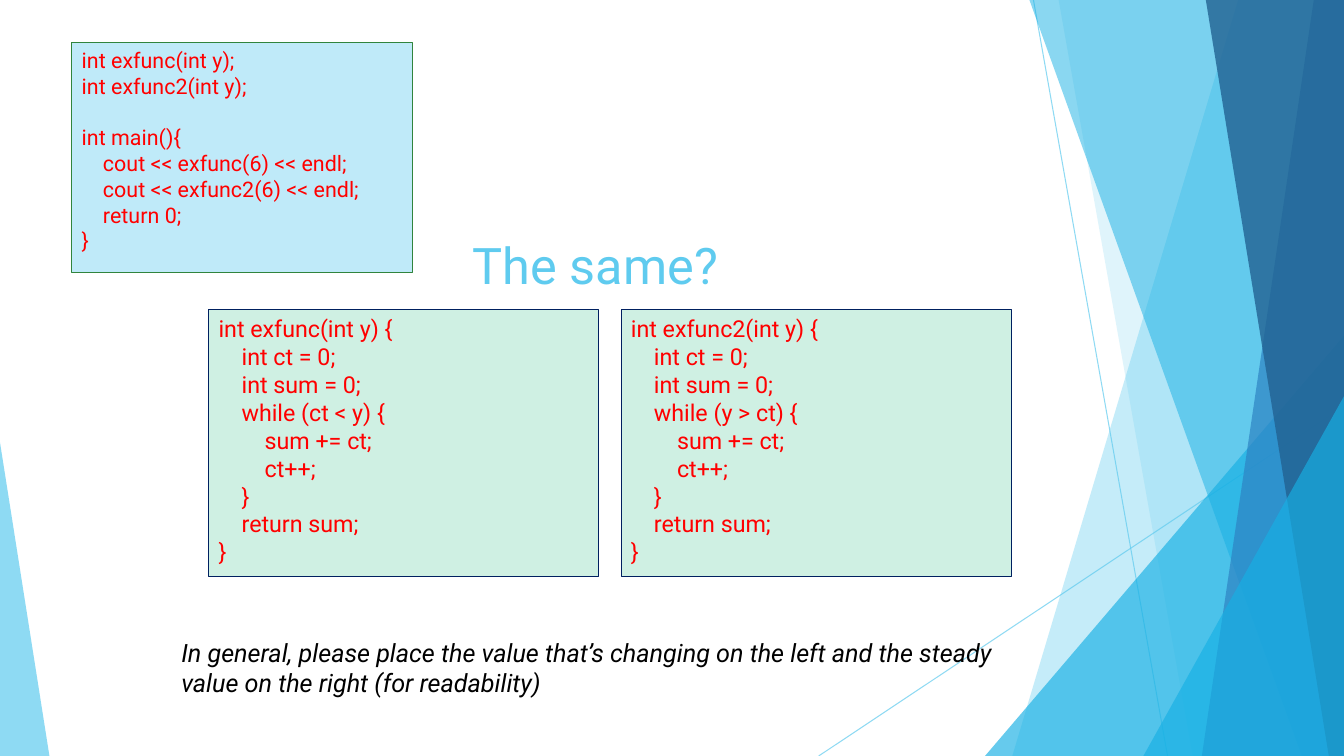
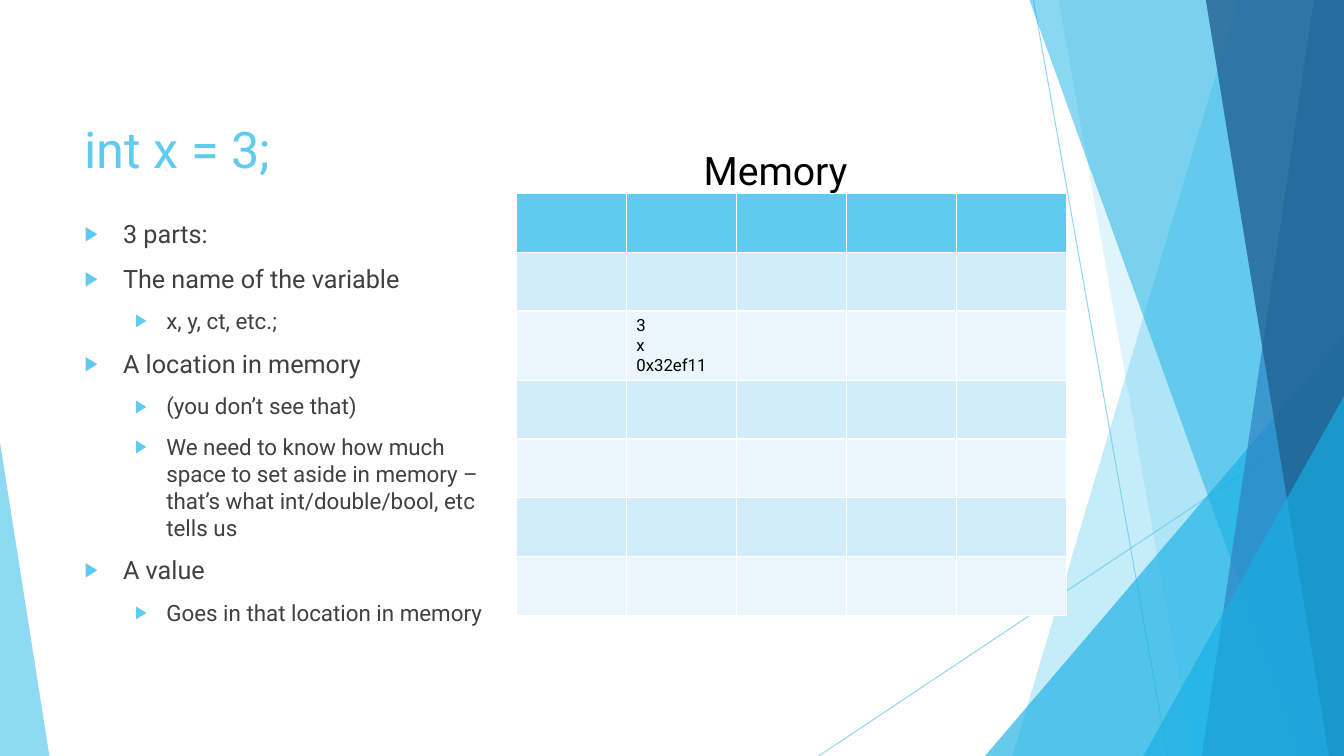
from lxml import etree
from pptx import Presentation
from pptx.dml.color import RGBColor
from pptx.enum.shapes import MSO_CONNECTOR, MSO_SHAPE
from pptx.enum.text import MSO_ANCHOR, MSO_AUTO_SIZE, PP_ALIGN
from pptx.oxml.ns import qn
from pptx.util import Inches, Pt

TRIANGLE, RECT = MSO_SHAPE.ISOSCELES_TRIANGLE, MSO_SHAPE.RECTANGLE
STRAIGHT = MSO_CONNECTOR.STRAIGHT
TOP, LEFT, NO_FIT = MSO_ANCHOR.TOP, PP_ALIGN.LEFT, MSO_AUTO_SIZE.NONE

FONT = "Roboto"
W, H = 13.33, 7.5
COLORS = {
    "sky": "5FCBEF", "cyan": "17B0E4", "blue": "2E83C3", "deep": "226292",
    "code": "FF0000", "ink": "000000", "body": "404040",
    "pale_blue": "BFEAF9", "green": "31843D", "mint": "CFF0E3", "navy": "002060",
    "band_dark": "D2ECF9", "band_light": "EAF6FC",
}
INDENTS = [(0.38, -0.38), (0.81, -0.31)]

RAYS = [(10.25, 0, 11.58, H), (W, 4.03, 8.12, H)]
FACETS = [
    ("wedge", (12.28, 10.04), "sky", 36),
    ("wedge", (10.5, 11.83), "sky", 20),
    ("triangle", (9.77, 3.33, 3.56, 1), "cyan", 66),
    ("wedge", (10.21, 12.91), "cyan", 50),
    ("wedge", (13.03, 11.92), "blue", 70),
    ("wedge", (11.96, 13.18), "deep", 80),
    ("triangle", (11.34, 3.93, 1.99, 1), "cyan", 66),
    ("triangle", (0, 4.39, 0.49, 0), "sky", 70),
]

PROTOTYPES = """int exfunc(int y);
int exfunc2(int y);

int main(){
    cout << exfunc(6) << endl;
    cout << exfunc2(6) << endl;
    return 0;
}"""
LOOP = """int %s(int y) {
    int ct = 0;
    int sum = 0;
    while (%s) {
        sum += ct;
        ct++;
    }
    return sum;
}"""
ADVICE = [
    "In general, please place the value that’s changing on the left and the steady",
    "value on the right (for readability)",
]
PARTS = [
    (0, "3 parts:"),
    (0, "The name of the variable"),
    (1, "x, y, ct, etc.;"),
    (0, "A location in memory"),
    (1, "(you don’t see that)"),
    (1, "We need to know how much space to set aside in memory – "
        "that’s what int/double/bool, etc tells us"),
    (0, "A value"),
    (1, "Goes in that location in memory"),
]


def rgb(name):
    return RGBColor.from_string(COLORS[name])


def place(sp, box):
    sp.left, sp.top, sp.width, sp.height = [Inches(v) for v in box]


def paint(sp, fill, line=None):
    sp.fill.solid()
    sp.fill.fore_color.rgb = rgb(fill)
    if line:
        sp.line.color.rgb = rgb(line)
        sp.line.width = Pt(0.75)
    else:
        sp.line.fill.background()


def fade(sp, percent):
    for clr in sp.element.spPr.iter(qn("a:srgbClr")):
        etree.SubElement(clr, qn("a:alpha")).set("val", str(percent * 1000))


def set_bullet(p, level):
    pPr = p._p.get_or_add_pPr()
    margin, hang = INDENTS[level]
    pPr.set("marL", str(Inches(margin)))
    pPr.set("indent", str(Inches(hang)))
    for tag, key, value in [("a:buSzPct", "val", "80000"), ("a:buChar", "char", "▶")]:
        etree.SubElement(pPr, qn(tag)).set(key, value)
    buClr = etree.Element(qn("a:buClr"))
    etree.SubElement(buClr, qn("a:srgbClr")).set("val", COLORS["sky"])
    pPr.find(qn("a:buSzPct")).addprevious(buClr)


def clear_bullet(p):
    pPr = p._p.get_or_add_pPr()
    pPr.set("marL", "0")
    pPr.set("indent", "0")
    etree.SubElement(pPr, qn("a:buNone"))


def write(tf, lines, sizes=(18,), color="ink", italic=False, bullets=False, wrap=True):
    tf.word_wrap = wrap
    tf.auto_size = NO_FIT
    tf.vertical_anchor = TOP
    for i, line in enumerate(lines):
        level, text = line if bullets else (0, line)
        p = tf.paragraphs[0] if i == 0 else tf.add_paragraph()
        p.alignment = LEFT
        p.level = level
        if bullets:
            set_bullet(p, level)
        else:
            clear_bullet(p)
        p.space_before = Pt(10 if bullets and i else 0)
        size = Pt(sizes[level])
        if not text:
            p._p.get_or_add_endParaRPr().set("sz", str(size.centipoints))
            continue
        r = p.add_run()
        r.text = text
        r.font.name, r.font.size = FONT, size
        r.font.italic = italic
        r.font.color.rgb = rgb(color)


def add_label(s, box, lines, **fmt):
    sp = s.shapes.add_textbox(*[Inches(v) for v in box])
    write(sp.text_frame, lines, **fmt)


def add_wedge(shapes, top_x, bottom_x):
    builder = shapes.build_freeform(Inches(top_x), 0)
    corners = [(W, 0), (W, H), (bottom_x, H)]
    builder.add_line_segments([(Inches(x), Inches(y)) for x, y in corners])
    return builder.convert_to_shape()


def add_triangle(shapes, x, y, w, apex):
    sp = shapes.add_shape(TRIANGLE, Inches(x), Inches(y), Inches(w), Inches(H - y))
    sp.adjustments[0] = apex
    return sp


def add_backdrop(prs, s):
    group = s.shapes.add_group_shape()
    for ends in RAYS:
        ray = group.shapes.add_connector(STRAIGHT, *[Inches(v) for v in ends])
        ray.line.color.rgb = rgb("sky")
        ray.line.width = Pt(0.75)
        fade(ray, 70)
        etree.SubElement(ray.element.spPr, qn("a:effectLst"))
    builders = {"wedge": add_wedge, "triangle": add_triangle}
    for kind, geometry, color, opacity in FACETS:
        sp = builders[kind](group.shapes, *geometry)
        paint(sp, color)
        fade(sp, opacity)
        sp.shadow.inherit = False
    prs.slide_master.shapes.element.insert(2, group.element)


def set_title(s, box, text):
    place(s.shapes.title, box)
    write(s.shapes.title.text_frame, [text], sizes=(36,), color="sky")


def add_code_panel(s, box, code):
    sp = s.shapes.add_shape(RECT, *[Inches(v) for v in box])
    sp.shadow.inherit = False
    paint(sp, "mint", "navy")
    write(sp.text_frame, code.split("\n"), sizes=(16.6,), color="code")


def add_memory_table(s, box, rows, cols):
    table = s.shapes.add_table(rows, cols, *[Inches(v) for v in box]).table
    for r, row in enumerate(table.rows):
        for cell in row.cells:
            cell.fill.solid()
            band = "band_dark" if r % 2 else "band_light"
            cell.fill.fore_color.rgb = rgb(band if r else "sky")
    tf = table.cell(2, 1).text_frame
    for i, text in enumerate(["3", "x", "0x32ef11"]):
        p = tf.paragraphs[0] if i == 0 else tf.add_paragraph()
        r = p.add_run()
        r.text = text
        r.font.name, r.font.size = FONT, Pt(12)
        r.font.color.rgb = rgb("ink")


def build_comparison(s):
    set_title(s, (4.59, 2.27, 4.37, 0.7), "The same?")
    body = s.placeholders[1]
    place(body, (0.71, 0.42, 3.38, 2.28))
    paint(body, "pale_blue", "green")
    write(body.text_frame, PROTOTYPES.split("\n"), sizes=(15.3,), color="code")
    panels = [("exfunc", "ct < y"), ("exfunc2", "y > ct")]
    for i, names in enumerate(panels):
        add_code_panel(s, (2.07 + i * 4.09, 3.07, 3.87, 2.65), LOOP % names)
    add_label(s, (1.7, 6.27, 9.3, 0.71), ADVICE, italic=True)


def build_memory(s):
    set_title(s, (0.74, 1.12, 3.08, 0.8), "int x = 3;")
    body = s.placeholders[1]
    place(body, (0.74, 2.12, 4.18, 4.24))
    write(body.text_frame, PARTS, sizes=(18, 16), color="body", bullets=True)
    add_label(s, (6.88, 1.4, 1.69, 0.57), ["Memory"], sizes=(28,), wrap=False)
    add_memory_table(s, (5.12, 1.92, 5.46, 4.08), 7, 5)


def main():
    prs = Presentation()
    prs.slide_width, prs.slide_height = Inches(W), Inches(H)
    layout = prs.slide_layouts[1]
    slides = [prs.slides.add_slide(layout) for _ in range(2)]
    add_backdrop(prs, slides[0])
    build_comparison(slides[0])
    build_memory(slides[1])
    prs.save("out.pptx")


if __name__ == "__main__":
    main()
